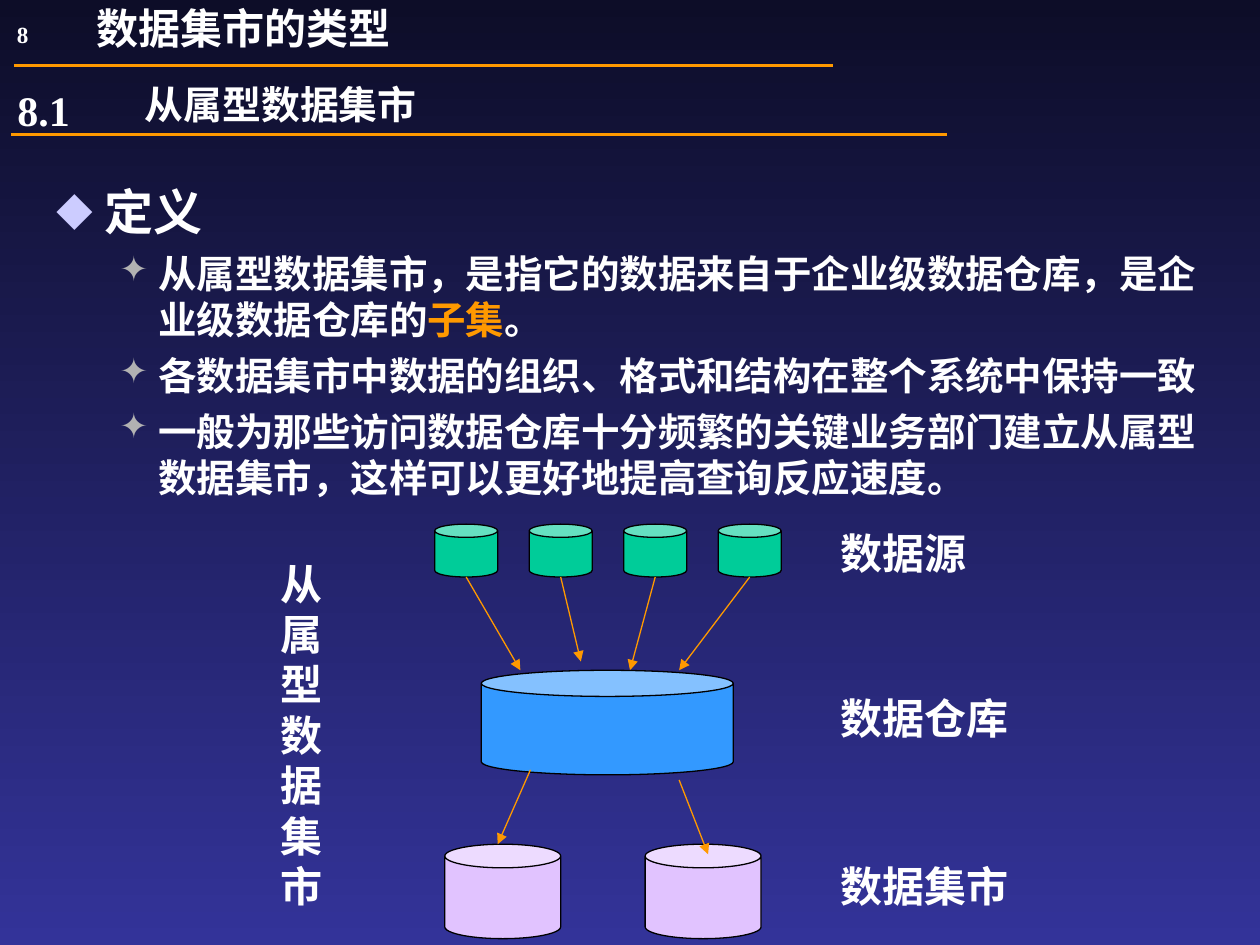
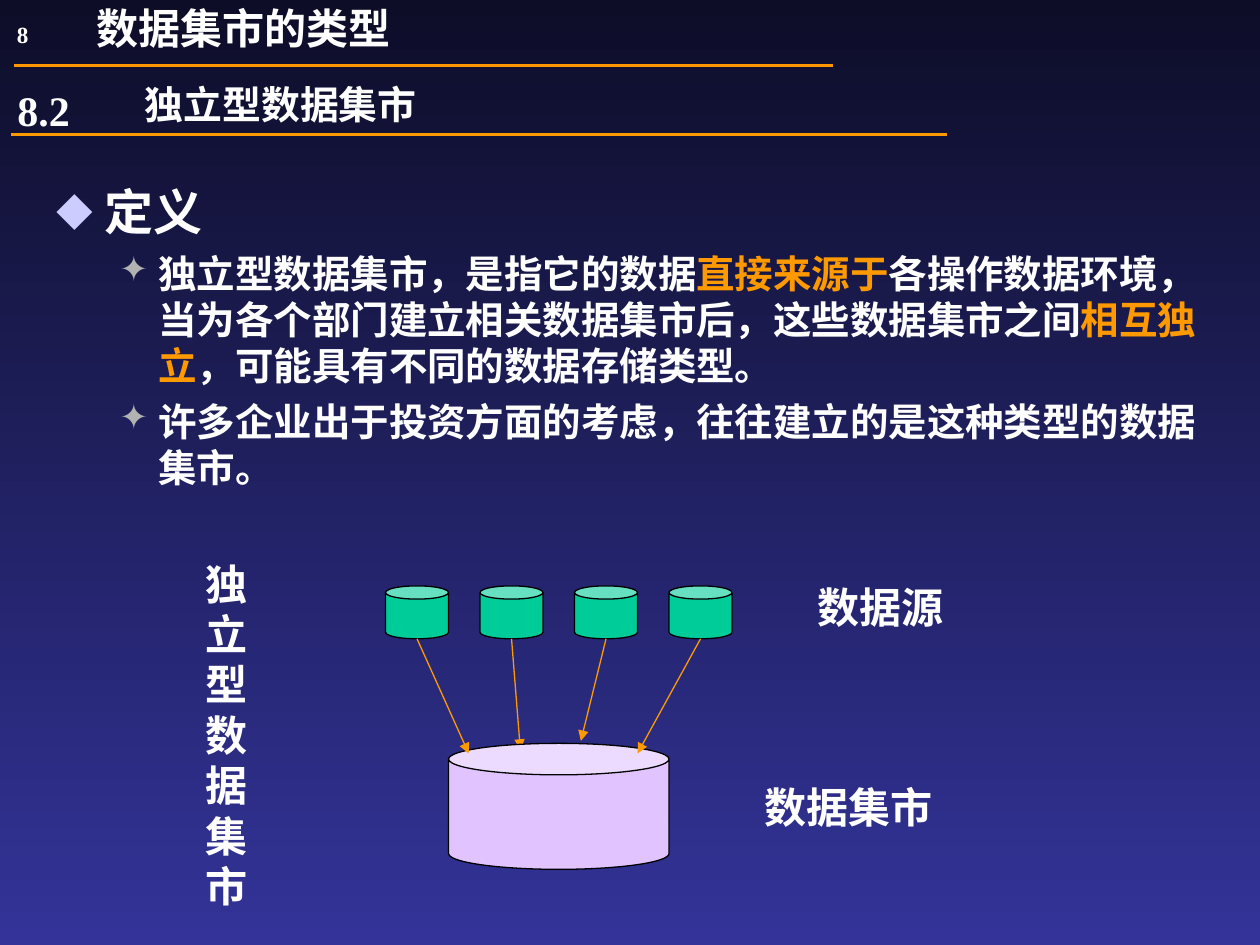
from dataclasses import dataclass

from lxml import etree
from pptx import Presentation
from pptx.dml.color import RGBColor
from pptx.enum.shapes import MSO_CONNECTOR, MSO_SHAPE
from pptx.enum.text import MSO_ANCHOR, PP_ALIGN
from pptx.oxml.ns import qn
from pptx.util import Inches, Pt

STRAIGHT = MSO_CONNECTOR.STRAIGHT
CAN = MSO_SHAPE.CAN
TOP, MIDDLE = MSO_ANCHOR.TOP, MSO_ANCHOR.MIDDLE
LEFT, CENTER = PP_ALIGN.LEFT, PP_ALIGN.CENTER


@dataclass(frozen=True)
class Theme:
    night: str = "0D0D28"
    indigo: str = "333399"
    text: str = "FFFFFF"
    accent: str = "FF9900"
    outline: str = "000000"
    source: str = "00CC99"
    warehouse: str = "3399FF"
    mart: str = "E1C3FF"
    diamond: str = "CCCCFF"
    star: str = "B2B2B2"
    font: str = "Times New Roman"
    cjk_font: str = "Noto Sans CJK SC"
    heading_size: float = 28
    title_size: float = 24
    subtitle_size: float = 22.2
    body_size: float = 22
    chapter_size: float = 13.2


def rgb(code):
    return RGBColor.from_string(code)


class Deck:
    SOURCE_SIZE = (0.5, 0.42)
    SOURCE_STEP = 0.75

    def __init__(self, theme):
        self.theme = theme
        self.presentation = Presentation()
        self.presentation.slide_width = Inches(10)
        self.presentation.slide_height = Inches(7.5)
        self.slide = None

    def new_slide(self, section, subtitle):
        """Start a slide with the background and the two-level header."""
        theme = self.theme
        self.slide = self.presentation.slides.add_slide(self.presentation.slide_layouts[6])
        fill = self.slide.background.fill
        fill.gradient()
        fill.gradient_angle = 270
        for stop, color, position in zip(fill.gradient_stops, (theme.night, theme.indigo), (0, 1)):
            stop.color.rgb = rgb(color)
            stop.position = position

        self.text("数据集市的类型", (0.67, 0, 8.5, 0.44), anchor=MIDDLE)
        self.line((0.11, 0.52), (6.61, 0.52), 2.25)
        self.text("8", (-0.28, 0.11, 0.92, 0.33), theme.chapter_size, anchor=MIDDLE, align=CENTER)
        heading = self.text(subtitle, (1.05, 0.6, 4.57, 0.5), theme.subtitle_size,
                            theme.cjk_font, MIDDLE)
        heading.line_spacing = 0.9
        self.text(section, (0.04, 0.62, 4.04, 0.5))
        self.line((0.09, 1.07), (7.52, 1.07), 1.5)

    def text_frame(self, box, anchor=TOP):
        frame = self.slide.shapes.add_textbox(*map(Inches, box)).text_frame
        frame.word_wrap = True
        frame.vertical_anchor = anchor
        return frame

    def style(self, paragraph, size, font=None):
        paragraph.font.size = Pt(size)
        paragraph.font.name = font or self.theme.font
        paragraph.font.bold = True
        paragraph.font.color.rgb = rgb(self.theme.text)

    def text(self, words, box, size=None, font=None, anchor=TOP, align=LEFT):
        paragraph = self.text_frame(box, anchor).paragraphs[0]
        paragraph.text = words
        paragraph.alignment = align
        self.style(paragraph, size or self.theme.title_size, font)
        return paragraph

    def bullet(self, paragraph, mark, color, percent, margin, hanging, font=None):
        properties = paragraph._p.get_or_add_pPr()
        properties.set("marL", str(Inches(margin)))
        properties.set("indent", str(-Inches(hanging)))
        bullet_color = etree.SubElement(properties, qn("a:buClr"))
        etree.SubElement(bullet_color, qn("a:srgbClr"), val=color)
        etree.SubElement(properties, qn("a:buSzPct"), val=str(percent * 1000))
        if font:
            etree.SubElement(properties, qn("a:buFont"), typeface=font)
        etree.SubElement(properties, qn("a:buChar"), char=mark)

    def definition(self, points):
        """List the points under the heading; words between asterisks are accented."""
        theme = self.theme
        frame = self.text_frame((0.35, 1.39, 9.37, 2.68))
        heading = frame.paragraphs[0]
        heading.text = "定义"
        self.bullet(heading, "◆", theme.diamond, 75, 0.38, 0.38, theme.cjk_font)
        self.style(heading, theme.heading_size)
        for point in points:
            paragraph = frame.add_paragraph()
            paragraph.level = 1
            paragraph.space_before = Pt(5.5)
            self.bullet(paragraph, "✦", theme.star, 90, 0.81, 0.31)
            self.style(paragraph, theme.body_size)
            for index, words in enumerate(point.split("*")):
                run = paragraph.add_run()
                run.text = words
                if index % 2:
                    run.font.color.rgb = rgb(theme.accent)

    def line(self, start, end, width):
        connector = self.slide.shapes.add_connector(STRAIGHT, *map(Inches, start + end))
        connector.line.color.rgb = rgb(self.theme.accent)
        connector.line.width = Pt(width)
        etree.SubElement(connector._element.spPr, qn("a:effectLst"))
        return connector

    def arrow(self, start, end):
        outline = self.line(start, end, 0.75).line._get_or_add_ln()
        etree.SubElement(outline, qn("a:tailEnd"), type="triangle")

    def can(self, box, color):
        can = self.slide.shapes.add_shape(CAN, *map(Inches, box))
        can.shadow.inherit = False
        can.fill.solid()
        can.fill.fore_color.rgb = rgb(color)
        can.line.color.rgb = rgb(self.theme.outline)
        can.line.width = Pt(0.75)

    def sources_into(self, left, top, tips, store, store_color):
        """Draw a row of sources, each with an arrow to its tip on the store."""
        width, height = self.SOURCE_SIZE
        arrows = []
        for index, tip in enumerate(tips):
            x = left + index * self.SOURCE_STEP
            self.can((x, top, width, height), self.theme.source)
            arrows.append(((x + width / 2, top + height), tip))
        first, *inner, last = arrows
        for start, tip in inner:
            self.arrow(start, tip)
        self.can(store, store_color)
        for start, tip in (first, last):
            self.arrow(start, tip)

    def label(self, words, left, top):
        self.text(words, (left, top, 1.92, 0.5))

    def vertical_label(self, words, left):
        """Stack the characters by wrapping them in a narrow box."""
        self.text(words, (left, 4.38, 0.67, 2.9))


def dependent_marts(deck):
    theme = deck.theme
    name = "从属型数据集市"
    deck.new_slide("8.1", name)
    deck.definition([
        "从属型数据集市，是指它的数据来自于企业级数据仓库，是企业级数据仓库的*子集*。",
        "各数据集市中数据的组织、格式和结构在整个系统中保持一致",
        "一般为那些访问数据仓库十分频繁的关键业务部门建立从属型数据集市，"
        "这样可以更好地提高查询反应速度。",
    ])
    deck.sources_into(3.45, 4.16, [(4.13, 5.32), (4.61, 5.25), (5, 5.32), (5.39, 5.32)],
                      (3.82, 5.32, 2, 0.83), theme.warehouse)
    for left, start, tip in ((3.53, (4.21, 6.11), (3.95, 6.7)),
                             (5.12, (5.39, 6.19), (5.62, 6.78))):
        deck.can((left, 6.7, 0.92, 0.75), theme.mart)
        deck.arrow(start, tip)
    for words, top in (("数据源", 4.14), ("数据仓库", 5.45), ("数据集市", 6.78)):
        deck.label(words, 6.57, top)
    deck.vertical_label(name, 2.13)


def independent_marts(deck):
    name = "独立型数据集市"
    deck.new_slide("8.2", name)
    deck.definition([
        "独立型数据集市，是指它的数据*直接来源于*各操作数据环境，"
        "当为各个部门建立相关数据集市后，这些数据集市之间*相互独立*，可能具有不同的数据存储类型。",
        "许多企业出于投资方面的考虑，往往建立的是这种类型的数据集市。",
    ])
    deck.vertical_label(name, 1.53)
    deck.sources_into(3.06, 4.65, [(3.72, 5.98), (4.13, 5.95), (4.61, 5.88), (5.06, 5.98)],
                      (3.56, 5.9, 1.75, 1), deck.theme.mart)
    deck.label("数据源", 6.39, 4.57)
    deck.label("数据集市", 5.97, 6.15)


def main():
    deck = Deck(Theme())
    dependent_marts(deck)
    independent_marts(deck)
    deck.presentation.save("out.pptx")


if __name__ == "__main__":
    main()
